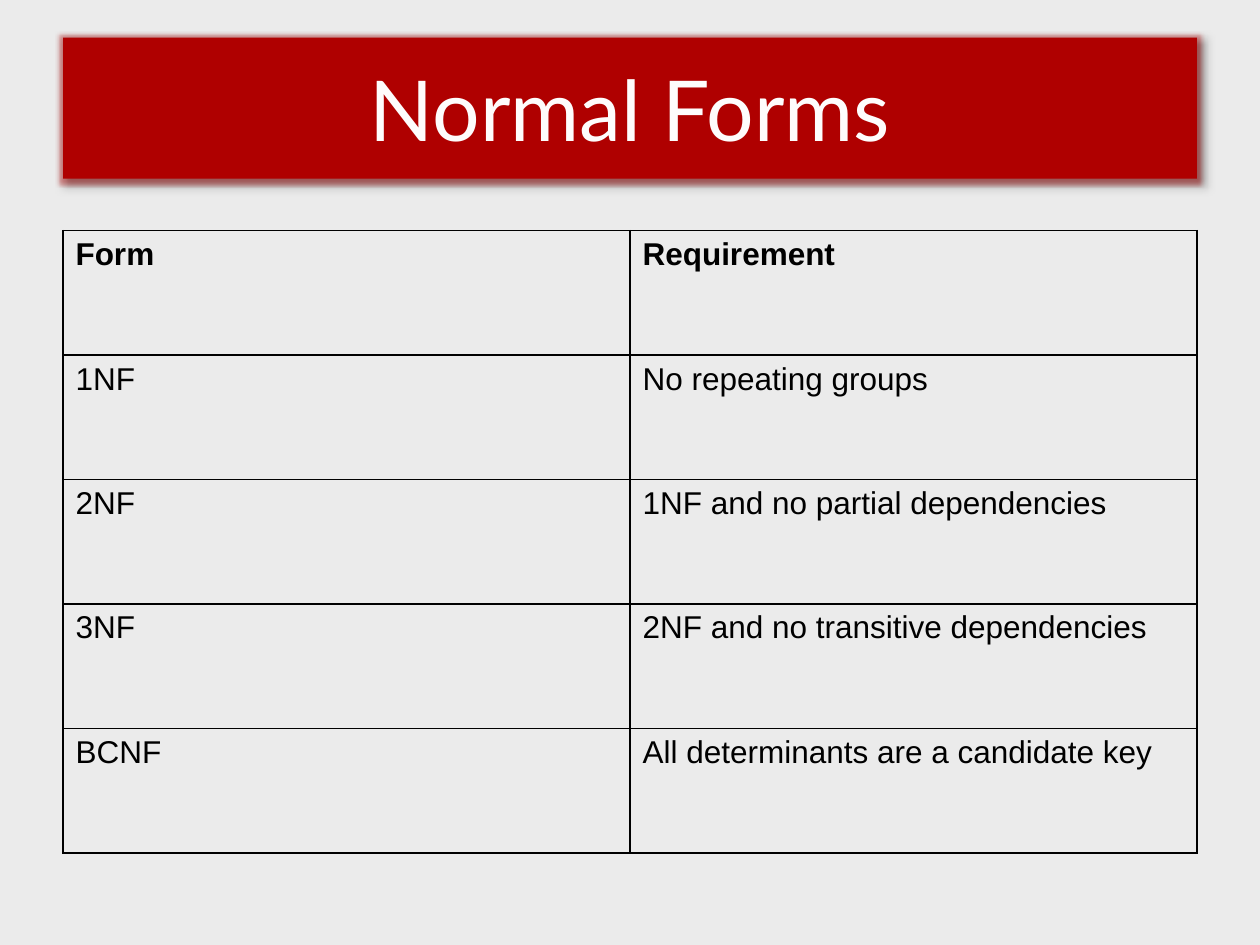
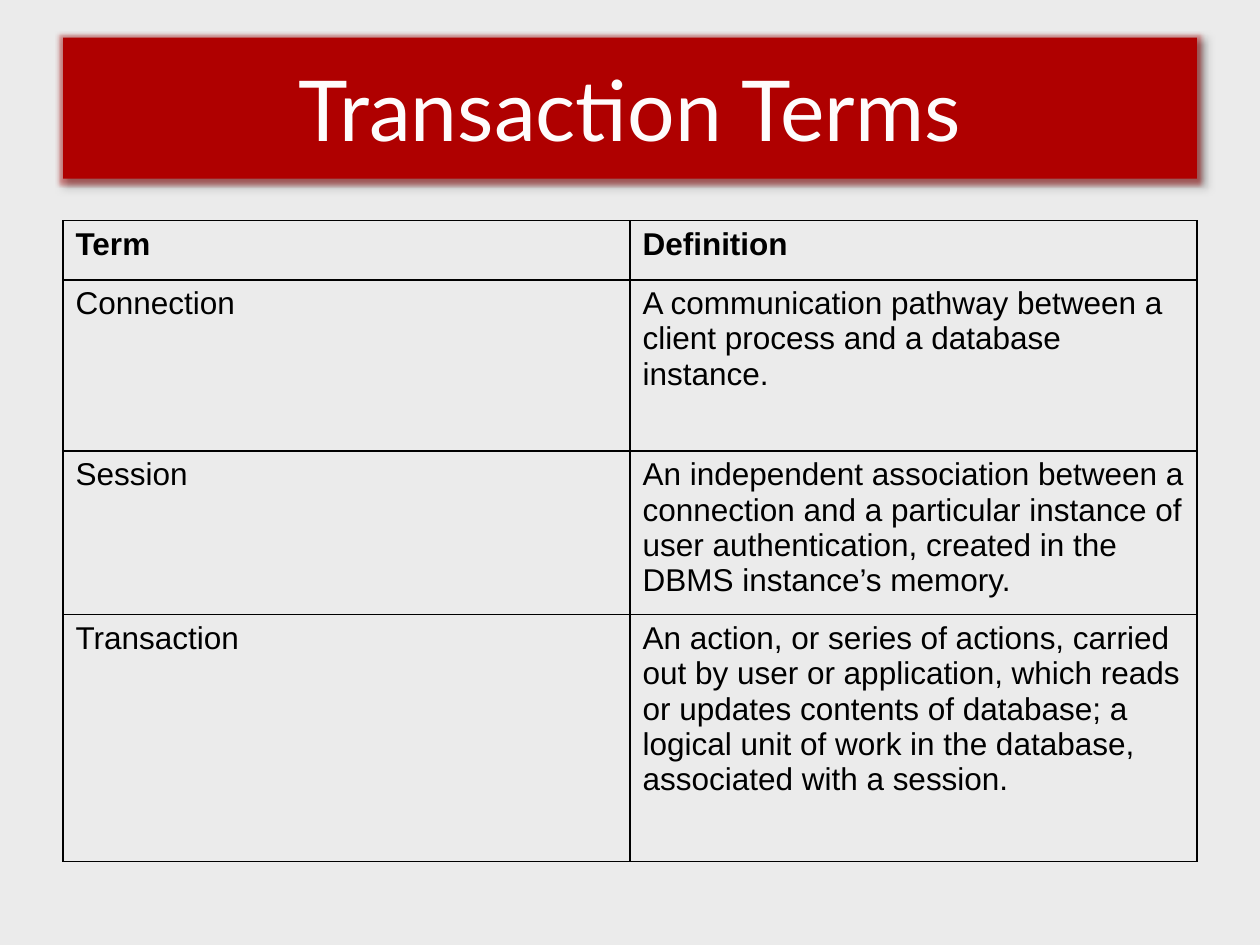
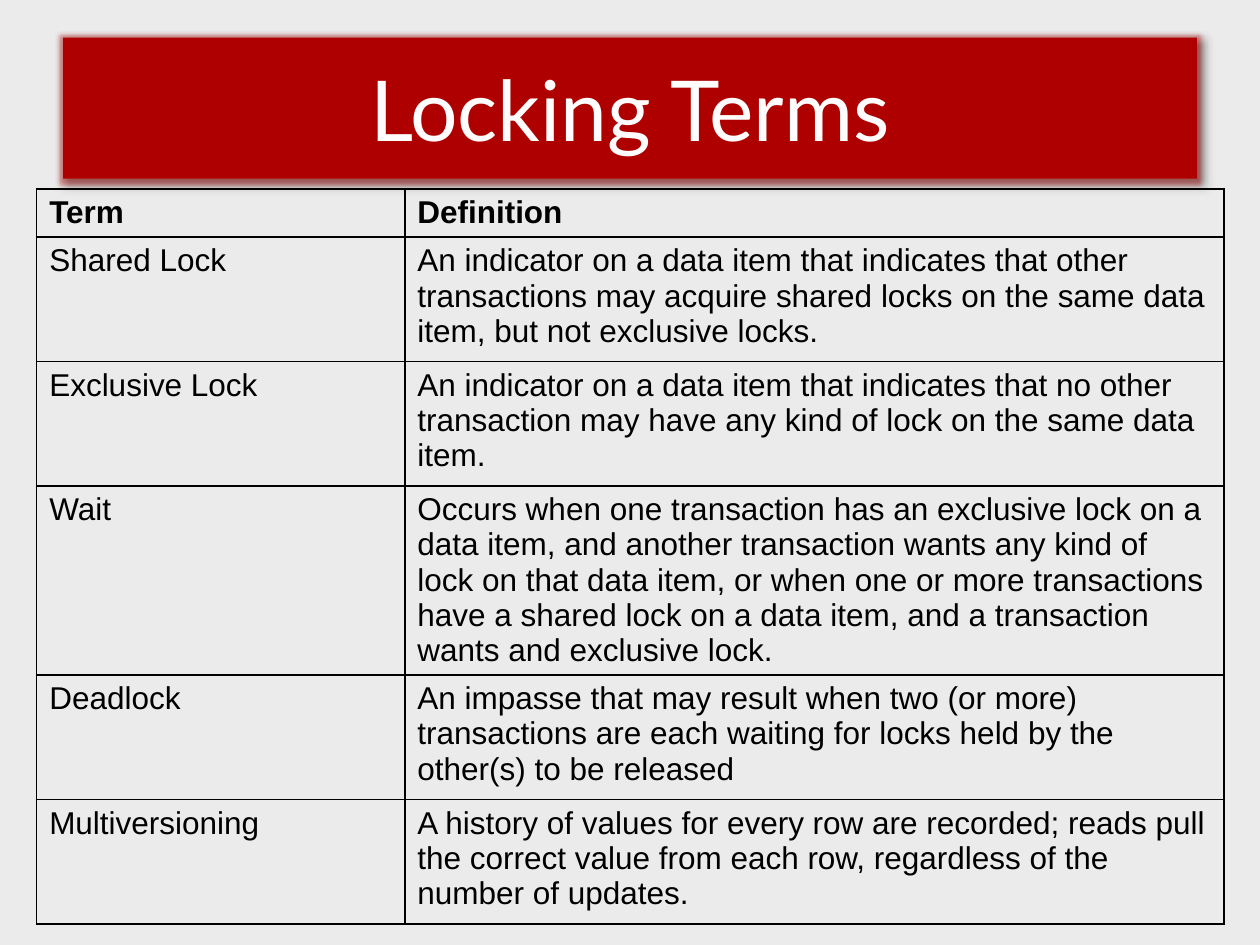
from pptx import Presentation
from pptx.dml.color import RGBColor
from pptx.enum.text import MSO_ANCHOR, MSO_AUTO_SIZE, PP_ALIGN
from pptx.oxml import parse_xml
from pptx.oxml.ns import nsdecls
from pptx.util import Cm, Pt

BACK, RED, WHITE, BLACK = "EBEBEB", "AF0000", "FEFCFC", "000000"
NS = nsdecls("a")
EFFECTS = f"""<a:effectLst {NS}>
<a:glow rad="63500"><a:srgbClr val="{RED}"><a:alpha val="40000"/></a:srgbClr></a:glow>
<a:outerShdw blurRad="50800" dist="38100" dir="2700000" algn="tl" rotWithShape="0">
<a:srgbClr val="{BLACK}"><a:alpha val="40000"/></a:srgbClr></a:outerShdw>
</a:effectLst>"""


def paint(fill, color):
    fill.solid()
    fill.fore_color.rgb = RGBColor.from_string(color)


def line_xml(tag, color, width):
    return parse_xml(
        f'<a:{tag} {NS} w="{Pt(width)}"><a:solidFill><a:srgbClr val="{color}"/>'
        f'</a:solidFill></a:{tag}>')


slides = [
    ("Normal Forms", (1.27, 4.65), (11.43, 11.43), [
        (2.51, "Form", "Requirement"),
        (2.51, "1NF", "No repeating groups"),
        (2.51, "2NF", "1NF and no partial dependencies"),
        (2.51, "3NF", "2NF and no transitive dependencies"),
        (2.51, "BCNF", "All determinants are a candidate key"),
    ]),
    ("Transaction Terms", (1.27, 4.45), (11.43, 11.43), [
        (1.19, "Term", "Definition"),
        (3.45, "Connection",
         "A communication pathway between a client process and a database instance."),
        (3.3, "Session",
         "An independent association between a connection and a particular instance "
         "of user authentication, created in the DBMS instance’s memory."),
        (4.98, "Transaction",
         "An action, or series of actions, carried out by user or application, which "
         "reads or updates contents of database; a logical unit of work in the "
         "database, associated with a session."),
    ]),
    ("Locking Terms", (0.74, 3.81), (7.42, 16.51), [
        (0.84, "Term", "Definition"),
        (2.51, "Shared Lock",
         "An indicator on a data item that indicates that other transactions may "
         "acquire shared locks on the same data item, but not exclusive locks."),
        (2.51, "Exclusive Lock",
         "An indicator on a data item that indicates that no other transaction may "
         "have any kind of lock on the same data item."),
        (2.51, "Wait",
         "Occurs when one transaction has an exclusive lock on a data item, and "
         "another transaction wants any kind of lock on that data item, or when one "
         "or more transactions have a shared lock on a data item, and a transaction "
         "wants and exclusive lock."),
        (2.51, "Deadlock",
         "An impasse that may result when two (or more) transactions are each "
         "waiting for locks held by the other(s) to be released"),
        (2.51, "Multiversioning",
         "A history of values for every row are recorded; reads pull the correct "
         "value from each row, regardless of the number of updates."),
    ]),
]

prs = Presentation()
prs.slide_width, prs.slide_height = Cm(25.4), Cm(19.05)
paint(prs.slide_master.background.fill, BACK)

for title, (left, top), widths, rows in slides:
    s = prs.slides.add_slide(prs.slide_layouts[5])

    sp = s.shapes.title
    sp.left, sp.top, sp.width, sp.height = Cm(1.27), Cm(0.76), Cm(22.86), Cm(2.84)
    paint(sp.fill, RED)
    sp._element.spPr.append(parse_xml(EFFECTS))
    tf = sp.text_frame
    tf.auto_size = MSO_AUTO_SIZE.NONE
    tf.word_wrap = False
    tf.vertical_anchor = MSO_ANCHOR.MIDDLE
    p = tf.paragraphs[0]
    p.alignment = PP_ALIGN.CENTER
    r = p.add_run()
    r.text = title
    r.font.name, r.font.size = "Lato", Pt(48)
    paint(r.font.fill, WHITE)
    r.font._element.insert(0, line_xml("ln", "FFFFFF", 0.75))

    height = sum(row[0] for row in rows)
    tbl = s.shapes.add_table(len(rows), len(widths), Cm(left), Cm(top),
                             Cm(sum(widths)), Cm(height)).table
    tbl.first_row = tbl.horz_banding = False
    for col, width in zip(tbl.columns, widths):
        col.width = Cm(width)
    for i, (row_height, *texts) in enumerate(rows):
        tbl.rows[i].height = Cm(row_height)
        for j, text in enumerate(texts):
            cell = tbl.cell(i, j)
            cell.fill.background()
            tc_pr = cell._tc.get_or_add_tcPr()
            for k, tag in enumerate(("lnL", "lnR", "lnT", "lnB")):
                tc_pr.insert(k, line_xml(tag, BLACK, 1))
            p = cell.text_frame.paragraphs[0]
            p._p.get_or_add_pPr().append(parse_xml(
                f'<a:spcBef {NS}><a:spcPct val="20000"/></a:spcBef>'))
            r = p.add_run()
            r.text = text
            r.font.name, r.font.size, r.font.bold = "Arial", Pt(18), i == 0
            paint(r.font.fill, BLACK)

prs.save("out.pptx")
